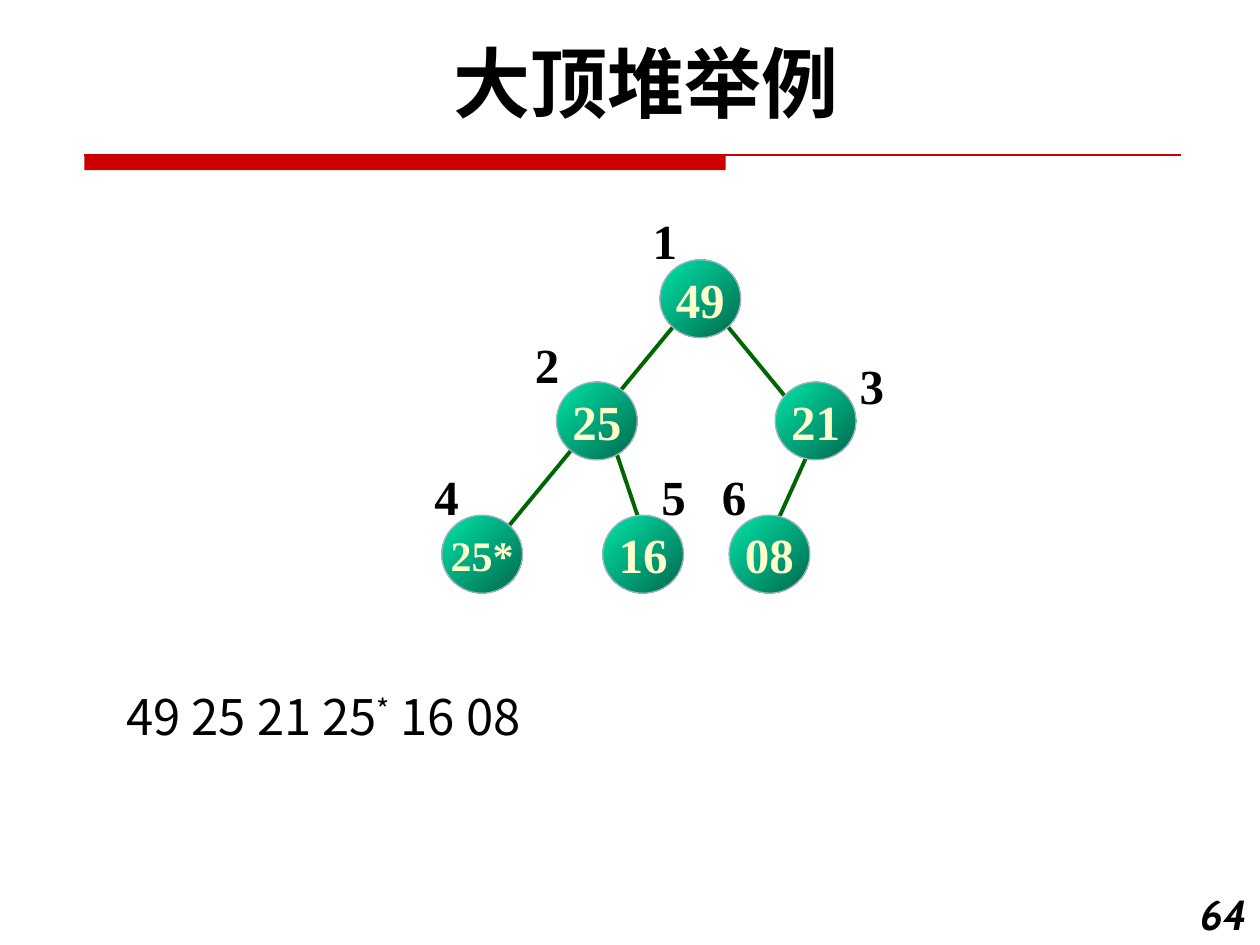
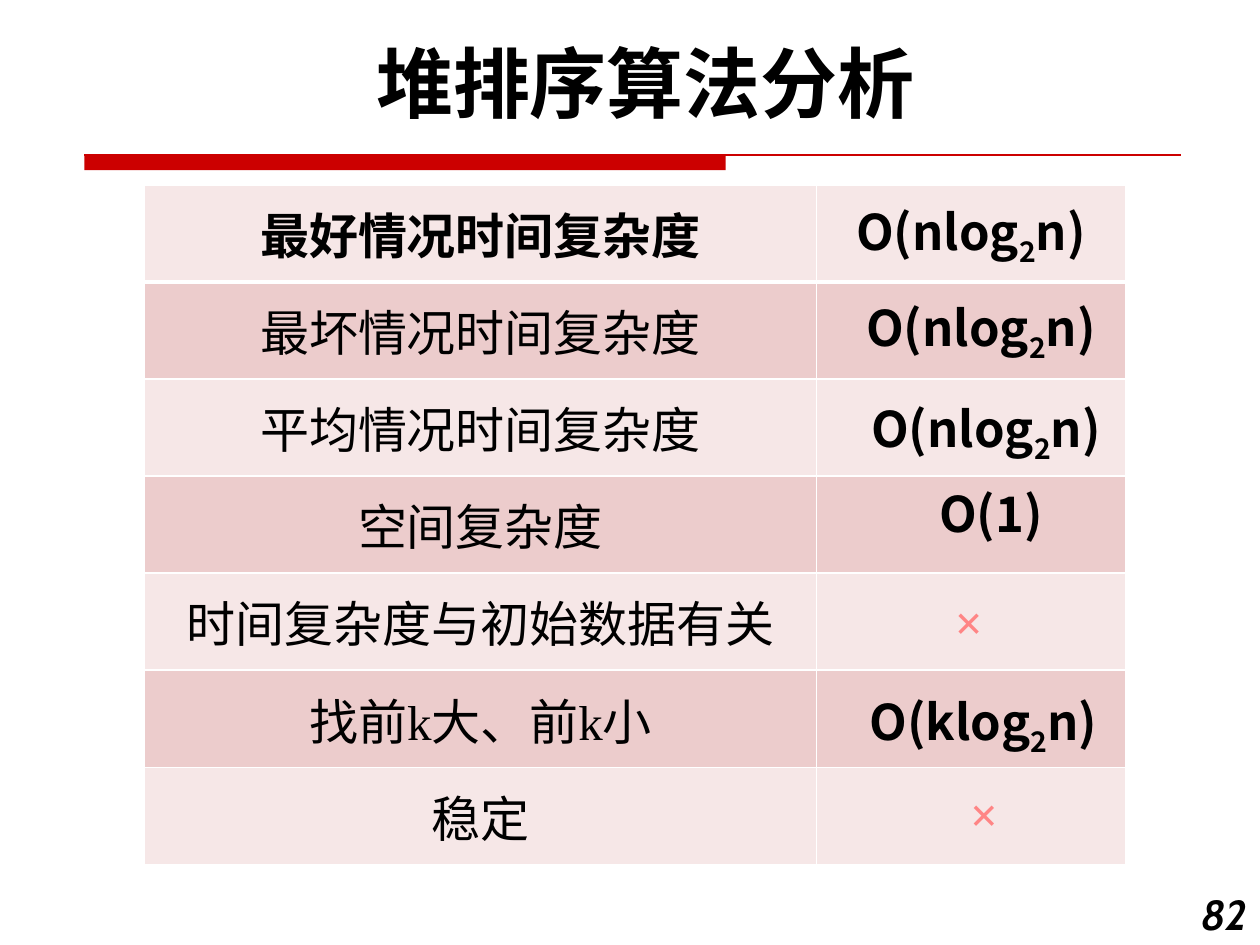
import pptx
import pptx.util
import pptx.dml.color
import pptx.enum.shapes
import pptx.enum.text
import pptx.oxml
import pptx.oxml.ns

Pt = pptx.util.Pt
MSO = pptx.enum.shapes.MSO_SHAPE
ALIGN = pptx.enum.text.PP_ALIGN
ANCHOR = pptx.enum.text.MSO_ANCHOR
FIT = pptx.enum.text.MSO_AUTO_SIZE
NS = pptx.oxml.ns.nsdecls("a")

COLORS = {
    "ink": "000000", "red": "CC0000", "pink": "FF8585", "edge": "006600",
    "rim": "A3B2C1", "light": "00E4A8", "dark": "00684C", "cream": "FFFFCC",
    "pale": "F6E7E7", "rose": "ECCCCC", "white": "FFFFFF",
}
HEAD, SANS, SERIF = "Cabin", "Noto Sans CJK SC", "Times New Roman"


def rgb(name):
    return pptx.dml.color.RGBColor.from_string(COLORS[name])


class Deck:
    def __init__(self):
        self.prs = pptx.Presentation()
        self.prs.slide_width, self.prs.slide_height = Pt(720), Pt(540)

    def start(self, title, page):
        """Add a slide with its title, red band and page number."""
        self.slide = self.prs.slides.add_slide(self.prs.slide_layouts[5])
        self.shapes = self.slide.shapes
        band = self.shapes.add_shape(MSO.RECTANGLE, Pt(48.2), Pt(88.5), Pt(366.5), Pt(8.7))
        band.shadow.inherit = False
        band.fill.solid()
        band.fill.fore_color.rgb = rgb("red")
        band.line.fill.background()
        self.line(48.2, 88.5, 674.6, 88.5, "red", 0.75)
        head = self.shapes.title
        head.left, head.top, head.width, head.height = Pt(36), Pt(16.6), Pt(666), Pt(60.5)
        self.fill(head.text_frame, [title], 44, HEAD, bold=True, east=HEAD)
        self.text([page], 671.8, 504, 48.2, 36, 24, HEAD, bold=True,
                  italic=True, align=ALIGN.RIGHT)

    def fill(self, frame, runs, size, face, color="ink", bold=False, italic=False,
             align=ALIGN.CENTER, anchor=ANCHOR.TOP, wrap=True, east=SANS):
        """Fill a text frame with one styled paragraph."""
        frame.auto_size = FIT.NONE
        frame.word_wrap = wrap
        frame.vertical_anchor = anchor
        self.style(frame.paragraphs[0], runs, size, face, color, bold, italic, align, east)

    def style(self, para, runs, size, face, color="ink", bold=False, italic=False,
              align=ALIGN.CENTER, east=SANS):
        """Add runs; a (text, shift) pair is raised or lowered by shift percent."""
        para.alignment = align
        font = para.font
        font.size, font.name, font.bold, font.italic = Pt(size), face, bold, italic
        font.color.rgb = rgb(color)
        latin = font._element.find(pptx.oxml.ns.qn("a:latin"))
        latin.addnext(pptx.oxml.parse_xml(f'<a:ea {NS} typeface="{east}"/>'))
        for item in runs:
            words, shift = (item, 0) if isinstance(item, str) else item
            run = para.add_run()
            run.text = words
            if shift:
                run._r.get_or_add_rPr().set("baseline", str(shift * 1000))

    def text(self, runs, x, y, w, h, size, face, **style):
        box = self.shapes.add_textbox(Pt(x), Pt(y), Pt(w), Pt(h))
        self.fill(box.text_frame, runs, size, face, **style)
        return box

    def line(self, x1, y1, x2, y2, color, width):
        link = self.shapes.add_connector(pptx.enum.shapes.MSO_CONNECTOR.STRAIGHT,
                                         Pt(x1), Pt(y1), Pt(x2), Pt(y2))
        link.line.color.rgb = rgb(color)
        link.line.width = Pt(width)
        link._element.spPr.append(pptx.oxml.parse_xml(f"<a:effectLst {NS}/>"))

    def node(self, key, x, y):
        ball = self.shapes.add_shape(MSO.OVAL, Pt(x), Pt(y), Pt(46.2), Pt(44.6))
        ball.shadow.inherit = False
        ball.fill.gradient()
        ball.fill.gradient_angle = 315
        for stop, name, spot in zip(ball.fill.gradient_stops, ("light", "dark"), (0, 1)):
            stop.color.rgb = rgb(name)
            stop.position = spot
        ball.line.color.rgb = rgb("rim")
        ball.line.width = Pt(0.75)
        self.fill(ball.text_frame, [key], 24 if len(key) > 2 else 28, SERIF, "cream",
                  bold=True, anchor=ANCHOR.MIDDLE, wrap=False)

    def cross(self, x, y):
        box = self.text(["×"], x, y, 43.2, 41, 28, SERIF, color="pink", bold=True, wrap=False)
        props = box.text_frame.paragraphs[0].runs[0]._r.get_or_add_rPr()
        props.insert(0, pptx.oxml.parse_xml(
            f'<a:ln {NS} w="{Pt(1.75)}"><a:solidFill><a:srgbClr val="{COLORS["red"]}"/>'
            "</a:solidFill></a:ln>"))

    def table(self, rows, x, y, widths, tall):
        grid = self.shapes.add_table(len(rows), len(widths), Pt(x), Pt(y),
                                     Pt(sum(widths)), Pt(tall * len(rows))).table
        grid.first_row = grid.horz_banding = False
        for col, width in zip(grid.columns, widths):
            col.width = Pt(width)
        for i, label in enumerate(rows):
            grid.rows[i].height = Pt(tall)
            for cell in grid.rows[i].cells:
                cell.vertical_anchor = ANCHOR.MIDDLE
                cell.fill.solid()
                cell.fill.fore_color.rgb = rgb("rose" if i % 2 else "pale")
                self.border(cell, top=3 if i == 1 else 1, low=3 if i == 0 else 1)
            self.style(grid.cell(i, 0).text_frame.paragraphs[0], [label], 28, SERIF,
                       bold=i == 0)

    def border(self, cell, top, low):
        props = cell._tc.get_or_add_tcPr()
        for n, (side, width) in enumerate(zip("LRTB", (1, 1, top, low))):
            props.insert(n, pptx.oxml.parse_xml(
                f'<a:ln{side} {NS} w="{Pt(width)}"><a:solidFill>'
                f'<a:srgbClr val="{COLORS["white"]}"/></a:solidFill></a:ln{side}>'))


def heap(deck):
    deck.start("大顶堆举例", "64")
    # Tree edges, then the nodes over them
    for ends in ((463, 256.3, 442.8, 301), (410.4, 180, 463, 244),
                 (351.4, 256.3, 364.3, 294.5), (390.2, 180, 285.1, 307.4)):
        deck.line(*ends, "edge", 2.25)
    rows = (148.4, 218.2, 294.4)
    for key, x, level in (("49", 377.1, 0), ("25", 318, 1), ("21", 443, 1),
                          ("25*", 252.4, 2), ("16", 344.4, 2), ("08", 416.6, 2)):
        deck.node(key, x, rows[level])
    # Node numbers
    spots = ((365.8, 116.6), (298.6, 187.6), (484.2, 199.6),
             (241.2, 262.8), (370.8, 262.8), (405.4, 262.8))
    for num, (x, y) in enumerate(spots, 1):
        deck.text([str(num)], x, y, 28.8, 41, 28, SERIF, bold=True,
                  align=ALIGN.LEFT, wrap=False)
    # Heap as a sequence
    deck.text(["49 25 21 25", ("*", 30), " 16 08"], 65.2, 388.8, 279.4, 41, 28, SANS,
              align=ALIGN.LEFT)


def costs(deck):
    deck.start("堆排序算法分析", "82")
    deck.table(("最好情况时间复杂度", "最坏情况时间复杂度", "平均情况时间复杂度", "空间复杂度",
                "时间复杂度与初始数据有关", "找前k大、前k小", "稳定"),
               82.4, 105.6, (384.2, 176.8), 55.5)
    # Answers laid over the right column
    log = [("2", -25), "n)"]
    for runs, x, y in ((["O(nlog"] + log, 477.4, 111.6), (["O(nlog"] + log, 483.1, 166.6),
                       (["O(nlog"] + log, 486, 224.2), (["O(1)"], 488.9, 273),
                       (["O(klog"] + log, 484.6, 391.6)):
        deck.text(runs, x, y, 154.8, 41, 28, SANS, bold=True)
    deck.cross(532, 334.2)
    deck.cross(540.8, 444.4)


def main():
    deck = Deck()
    heap(deck)
    costs(deck)
    deck.prs.save("out.pptx")


if __name__ == "__main__":
    main()
